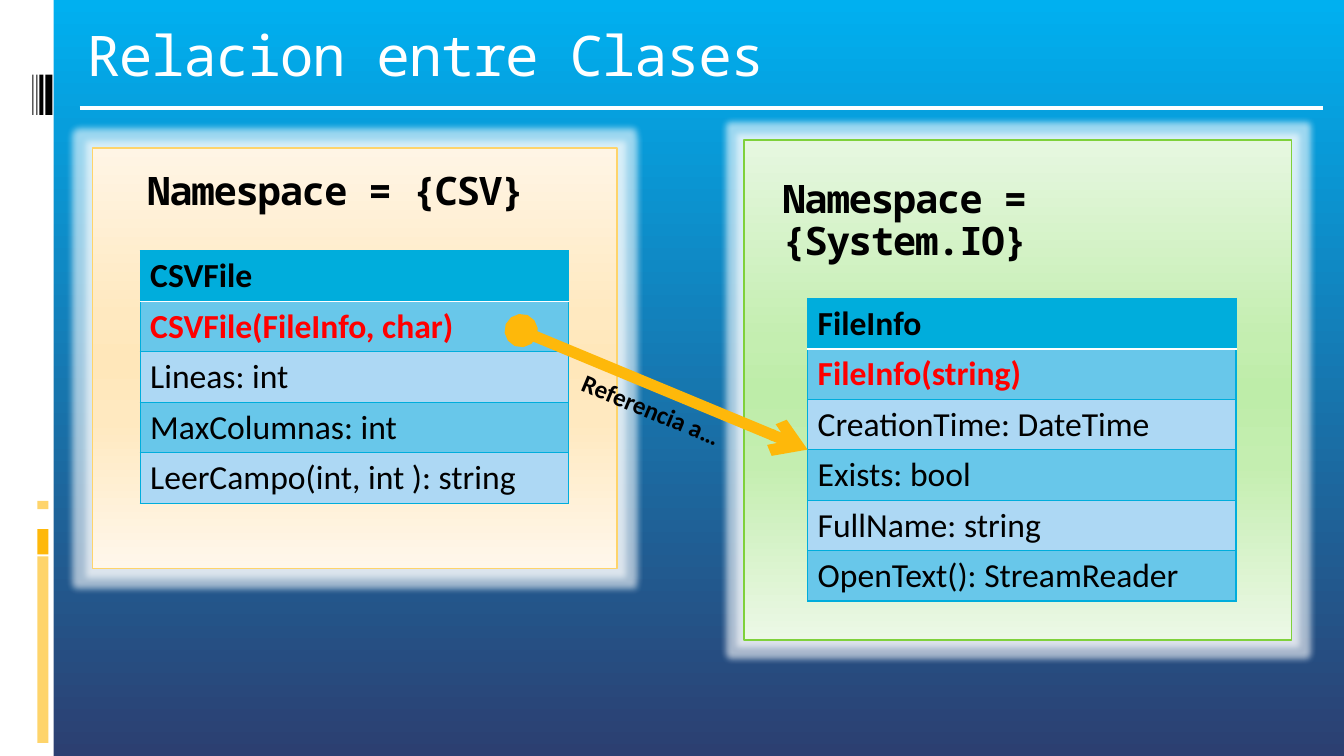
from lxml.etree import SubElement
from pptx import Presentation
from pptx.dml.color import RGBColor
from pptx.enum.shapes import MSO_CONNECTOR, MSO_SHAPE
from pptx.enum.text import MSO_ANCHOR, MSO_AUTO_SIZE
from pptx.oxml.ns import qn
from pptx.util import Inches, Pt

WIDTH, HEIGHT = Inches(13.33), Inches(7.5)
MONO, SANS = "Noto Sans Mono", "Calibri"
COLORS = {
    "white": "FFFFFF", "black": "000000", "red": "FF0000",
    "sky": "00B0F0", "navy": "2C3F71",
    "gold": "FEB80A", "sand": "FED46B", "green": "7FD13B",
    "header": "00ADDC", "band": "68C7EA", "pale": "ADD8F4",
}
PANEL_STOPS = (0, 40, 50, 65, 100)
CREAM = tuple(zip(PANEL_STOPS, ("FFF5E5", "FFE9C0", "FFE7BA", "FFE9C0", "FFF7EB")))
MINT = tuple(zip(PANEL_STOPS, ("E6F7E0", "C4EEB0", "BEEDA9", "C4EEB0", "ECF8E6")))
BACKDROP = ((0, COLORS["sky"]), (100, COLORS["navy"]))
SIDE_BARS = ((73.6, 24.67, "sand"), (70, 3.33, "gold"),
             (67.6, 2, "white"), (66.27, 1.07, "sand"))
BARCODE = ((3.38, 0.53), (2.93, 0.3), (2.7, 0.08), (2.4, 0.08))
CSV_MEMBERS = ("CSVFile", "CSVFile(FileInfo, char)", "Lineas: int",
               "MaxColumnas: int", "LeerCampo(int, int ): string")
IO_MEMBERS = ("FileInfo", "FileInfo(string)", "CreationTime: DateTime",
              "Exists: bool", "FullName: string", "OpenText(): StreamReader")
TABLE_WIDTH, ROW_HEIGHT = 31.88, 6.67


def across(share):
    """Turn a percentage of the slide's width into a length."""
    return int(WIDTH * share / 100)


def down(share):
    """Turn a percentage of the slide's height into a length."""
    return int(HEIGHT * share / 100)


def area(left, top, width, height):
    return across(left), down(top), across(width), down(height)


def rgb(name):
    return RGBColor.from_string(COLORS[name])


def add_color(parent, value):
    return SubElement(parent, qn("a:srgbClr"), val=value)


def set_gradient(fill, element, stops):
    """Fill from top to bottom with (percentage, colour) stops."""
    fill.gradient()
    fill.gradient_angle = 270
    stop_list = next(element.iter(qn("a:gsLst")))
    for stop in list(stop_list):
        stop_list.remove(stop)
    for percent, value in stops:
        stop = SubElement(stop_list, qn("a:gs"), pos=str(percent * 1000))
        add_color(stop, value)


def add_bar(page, place, color):
    bar = page.shapes.add_shape(MSO_SHAPE.RECTANGLE, *area(*place))
    bar.shadow.inherit = False
    bar.fill.solid()
    bar.fill.fore_color.rgb = rgb(color)
    bar.line.fill.background()


def add_panel(page, place, stops, outline):
    """Add a gradient rectangle with a white glow."""
    panel = page.shapes.add_shape(MSO_SHAPE.RECTANGLE, *area(*place))
    panel.shadow.inherit = False
    set_gradient(panel.fill, panel.element, stops)
    panel.line.color.rgb = rgb(outline)
    panel.line.width = Pt(0.94)
    effects = next(panel.element.iter(qn("a:effectLst")))
    glow = SubElement(effects, qn("a:glow"), rad=str(Pt(9)))
    SubElement(add_color(glow, COLORS["white"]), qn("a:alpha"), val="60000")


def style_text(para, size, font, color, bold):
    for span in para.runs:
        span.font.size = Pt(size)
        span.font.name = font
        span.font.bold = bold
        span.font.color.rgb = rgb(color)


def add_text(page, place, text, size, font, color="black", bold=True):
    box = page.shapes.add_textbox(*area(*place))
    frame = box.text_frame
    frame.text = text
    frame.word_wrap = True
    frame.vertical_anchor = MSO_ANCHOR.TOP
    style_text(frame.paragraphs[0], size, font, color, bold)
    return box


def add_heading(page, place, text, size, color="black", bold=True):
    """Add tightly spaced monospaced text."""
    box = add_text(page, place, text, size, MONO, color, bold)
    frame = box.text_frame
    frame.margin_left = frame.margin_right = Inches(0.07)
    frame.margin_top = Inches(0.08)
    frame.paragraphs[0].line_spacing = 0.9
    for properties in box.element.iter(qn("a:rPr")):
        properties.set("spc", "-100")


def set_borders(cell, row):
    """Outline a cell, with a white rule between the first two rows."""
    properties = cell._tc.get_or_add_tcPr()
    white_side = {0: "lnB", 1: "lnT"}.get(row)
    for side in ("lnL", "lnR", "lnT", "lnB"):
        color, width = ("white", 1.5) if side == white_side else ("header", 0.94)
        line = SubElement(properties, qn(f"a:{side}"), w=str(Pt(width)))
        add_color(SubElement(line, qn("a:solidFill")), COLORS[color])


def add_class_table(page, left, top, members):
    place = area(left, top, TABLE_WIDTH, ROW_HEIGHT * len(members))
    table = page.shapes.add_table(len(members), 1, *place).table
    for row, member in enumerate(members):
        cell = table.cell(row, 0)
        cell.text = member
        style_text(cell.text_frame.paragraphs[0], 24, SANS,
                   "red" if row == 1 else "black", row < 2)
        set_borders(cell, row)
        cell.fill.solid()
        shade = "header" if row == 0 else "band" if row % 2 else "pale"
        cell.fill.fore_color.rgb = rgb(shade)


def add_line(page, start, end, color, width):
    line = page.shapes.add_connector(
        MSO_CONNECTOR.STRAIGHT, across(start[0]), down(start[1]),
        across(end[0]), down(end[1]))
    line.line.color.rgb = rgb(color)
    line.line.width = Pt(width)
    SubElement(line.element.spPr, qn("a:effectLst"))
    return line


def add_reference(page, start, end):
    """Add the thick arrow from a dot to the referenced class."""
    arrow = add_line(page, start, end, "gold", 8)
    stroke = next(arrow.element.iter(qn("a:ln")))
    SubElement(stroke, qn("a:headEnd"), type="oval")
    SubElement(stroke, qn("a:tailEnd"), type="arrow")


def add_sidebar(page):
    add_bar(page, (0, 0, 4, 100), "white")
    for top, height, color in SIDE_BARS:
        add_bar(page, (2.78, top, 0.82, height), color)
    for left, width in BARCODE:
        add_bar(page, (left, 9.87, width, 5.33), "black")


def main():
    deck = Presentation()
    deck.slide_width, deck.slide_height = WIDTH, HEIGHT
    page = deck.slides.add_slide(deck.slide_layouts[6])
    set_gradient(page.background.fill, page.element, BACKDROP)
    add_sidebar(page)
    add_panel(page, (55.36, 18.53, 40.74, 66.13), MINT, "green")
    add_panel(page, (6.9, 19.6, 39.01, 55.6), CREAM, "sand")
    add_heading(page, (5.93, 2.67, 90.17, 13.33), "Relacion entre Clases",
                40, "white", False)
    add_line(page, (5.93, 14.27), (98.42, 14.27), "white", 3)
    add_class_table(page, 60.09, 39.47, IO_MEMBERS)
    add_class_table(page, 10.43, 33.2, CSV_MEMBERS)
    add_heading(page, (10.43, 21.6, 31.66, 9.2), "Namespace = {CSV}", 28)
    add_heading(page, (57.69, 22.67, 36.01, 9.2), "Namespace = {System.IO}", 28)
    add_reference(page, (38.78, 43.73), (60.09, 59.47))
    label = add_text(page, (42.24, 51.73, 13.2, 5.33), "Referencia a…", 18, SANS)
    label.text_frame.word_wrap = False
    label.text_frame.auto_size = MSO_AUTO_SIZE.SHAPE_TO_FIT_TEXT
    label.rotation = 22.7
    deck.save("out.pptx")


if __name__ == "__main__":
    main()
